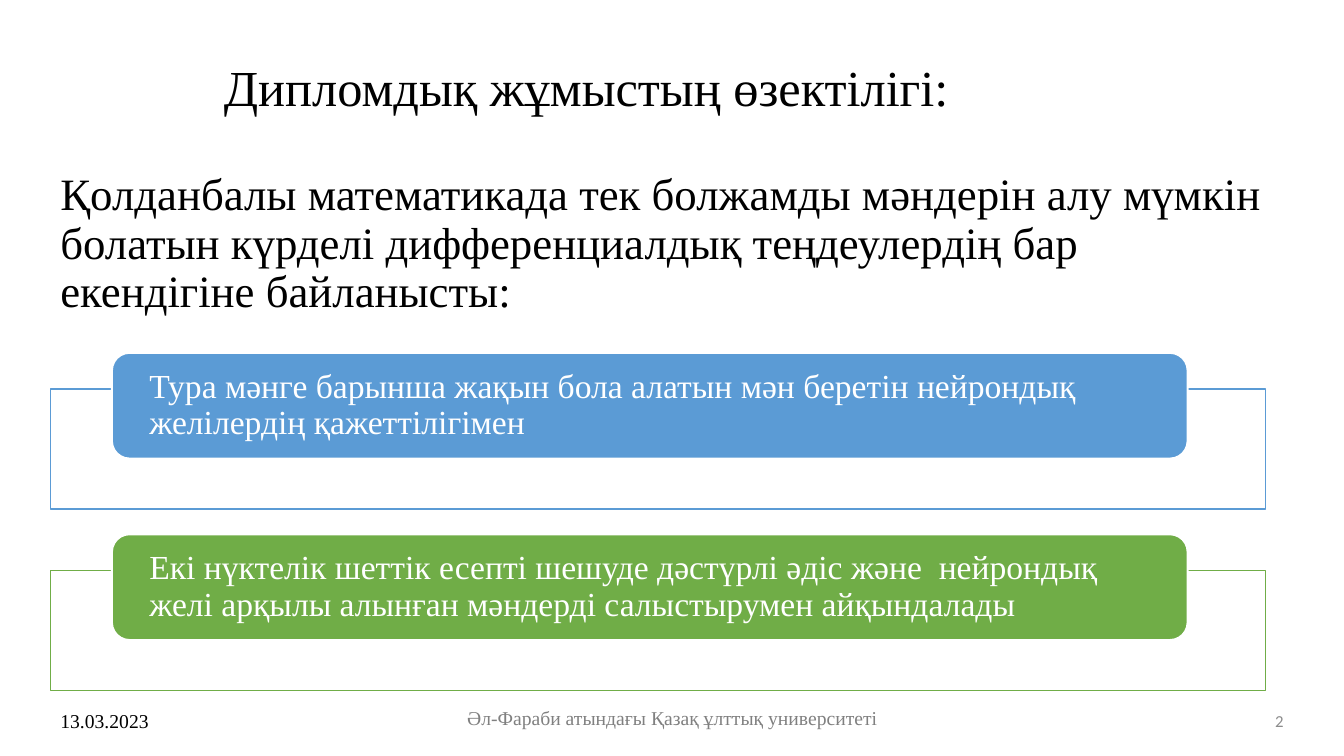
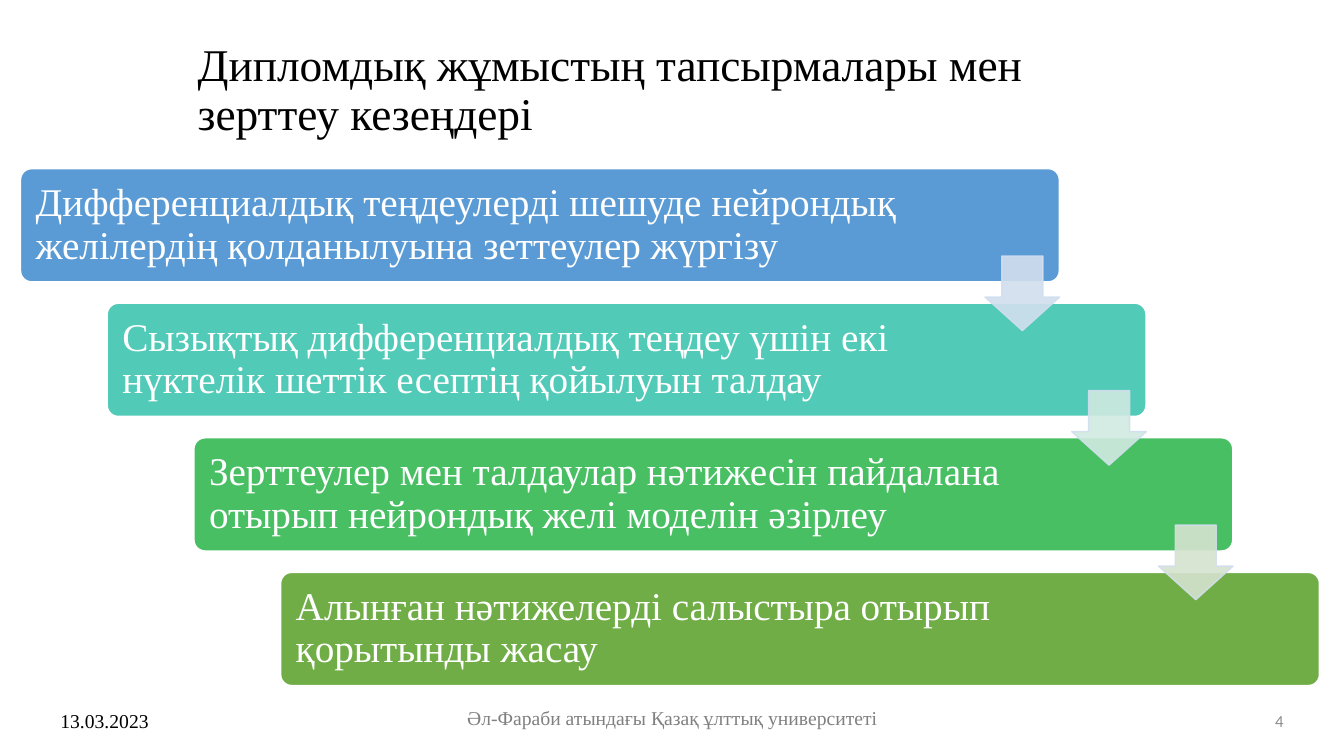
from lxml import etree
from pptx import Presentation
from pptx import util as u
from pptx.dml.color import RGBColor
from pptx.enum import shapes, text
from pptx.oxml.ns import qn

CELL = 0.5  # side of one grid column or row, in inches
BLUE, TEAL, EMERALD, GREEN = "5B9BD5", "52CAB8", "49BF64", "70AD47"
BLACK, WHITE, GREY, PALE_GREY = "000000", "FFFFFF", "808080", "8C8C8C"
PALE_BLUE, PALE_TEAL, PALE_GREEN = "D2DEEF", "D0EAE1", "D5E3CF"
SERIF, SANS = "Times New Roman", "Calibri"
LEFT, CENTER, RIGHT = text.PP_ALIGN.LEFT, text.PP_ALIGN.CENTER, text.PP_ALIGN.RIGHT
TOP, MIDDLE = text.MSO_ANCHOR.TOP, text.MSO_ANCHOR.MIDDLE
KIND = shapes.MSO_SHAPE


def paint(fill, color, alpha=100):
    """Solid colour from a hex string, with opacity in percent."""
    fill.solid()
    fill.fore_color.rgb = RGBColor.from_string(color)
    if alpha < 100:
        tone = fill._xPr.find(qn("a:solidFill"))[0]
        etree.SubElement(tone, qn("a:alpha"), val=str(alpha * 1000))


def cells(*counts):
    return [u.Inches(count * CELL) for count in counts]


class Deck:
    def __init__(self):
        self.prs = Presentation()
        self.prs.slide_width, self.prs.slide_height = u.Inches(13.33), u.Inches(7.5)
        self.slide = None

    def start(self, title, place, size, number):
        """New slide with its title and the shared footer."""
        self.slide = self.prs.slides.add_slide(self.prs.slide_layouts[5])
        heading = self.slide.shapes.title
        heading.left, heading.top, heading.width, heading.height = cells(*place)
        self.set_words(heading, title, size, spacing=0.9)
        row, height = 13.9, 0.8
        self.label("13.03.2023", (1, row, 5.96, height), 14, anchor=MIDDLE)
        self.label("Әл-Фараби атындағы Қазақ ұлттық университеті",
                   (8.84, row, 9, height), 14, color=GREY, align=CENTER, anchor=TOP)
        self.label(number, (19.7, row, 5.96, height), 12, color=PALE_GREY,
                   font=SANS, align=RIGHT)

    def set_words(self, holder, words, size, color=BLACK, font=SERIF, align=LEFT,
                  anchor=MIDDLE, spacing=1.0, before=0, insets=(0.1, 0.05, 0.1, 0.05)):
        frame = holder.text_frame
        frame.text = words
        frame.word_wrap = True
        frame.auto_size = text.MSO_AUTO_SIZE.NONE
        frame.vertical_anchor = anchor
        (frame.margin_left, frame.margin_top,
         frame.margin_right, frame.margin_bottom) = [u.Inches(i) for i in insets]
        for paragraph in frame.paragraphs:
            paragraph.alignment = align
            paragraph.line_spacing = spacing
            paragraph.space_before = u.Pt(before)
            for run in paragraph.runs:
                run.font.size, run.font.name = u.Pt(size), font
                run.font.color.rgb = RGBColor.from_string(color)

    def label(self, words, place, size, **style):
        self.set_words(self.slide.shapes.add_textbox(*cells(*place)), words, size, **style)

    def block(self, kind, place, fill, line, weight, alpha=100, line_alpha=100, adjust=()):
        shape = self.slide.shapes.add_shape(kind, *cells(*place))
        shape.shadow.inherit = False
        paint(shape.fill, fill, alpha)
        paint(shape.line.fill, line, line_alpha)
        shape.line.width = u.Pt(weight)
        for index, value in enumerate(adjust):
            shape.adjustments[index] = value
        return shape

    def reason(self, words, row, color):
        """Outlined frame with a rounded card over its top edge."""
        self.block(KIND.RECTANGLE, (1, row + 0.72, 24.1, 2.38), WHITE, color, 1, alpha=90)
        card = self.block(KIND.ROUNDED_RECTANGLE, (2.22, row, 21.34, 2.1), color, WHITE, 1.5)
        self.set_words(card, words, 24, color=WHITE, spacing=0.9, insets=(0.32, 0, 0.32, 0))

    def stage(self, words, column, row, color, right_inset):
        bar = self.block(KIND.ROUNDED_RECTANGLE, (column, row, 20.62, 2.26),
                         color, WHITE, 1.5, adjust=[0.1])
        self.set_words(bar, words, 28, color=WHITE, spacing=0.9,
                       insets=(0.12, 0.12, right_inset, 0.12))

    def step_arrow(self, column, row, color):
        self.block(KIND.DOWN_ARROW, (column, row, 1.48, 1.48), color, PALE_BLUE, 1,
                   alpha=90, line_alpha=90, adjust=[0.55, 0.45])


def relevance(deck):
    deck.start("Дипломдық жұмыстың өзектілігі:", (4.24, 0.64, 21.04, 2.28), 36, "2")
    deck.label("Қолданбалы математикада тек болжамды мәндерін алу мүмкін болатын күрделі "
               "дифференциалдық теңдеулердің бар екендігіне байланысты:",
               (1, 3.32, 24.64, 10.2), 32, anchor=TOP, spacing=0.9, before=10)
    reasons = [
        ("Тура мәнге барынша жақын бола алатын мән беретін нейрондық "
         "желілердің қажеттілігімен", BLUE),
        ("Екі нүктелік шеттік есепті шешуде дәстүрлі әдіс және  нейрондық "
         "желі арқылы алынған мәндерді салыстырумен айқындалады", GREEN),
    ]
    for index, (words, color) in enumerate(reasons):
        deck.reason(words, 7 + index * 3.6, color)


def stages(deck):
    deck.start("Дипломдық жұмыстың тапсырмалары мен зерттеу кезеңдері",
               (3.72, 0.68, 18.5, 2.28), 32.4, "4")
    steps = [
        ("Дифференциалдық теңдеулерді шешуде нейрондық желілердің қолданылуына "
         "зеттеулер жүргізу", BLUE, 1.38),
        ("Сызықтық дифференциалдық теңдеу үшін екі нүктелік шеттік есептің "
         "қойылуын талдау", TEAL, 1.73),
        ("Зерттеулер мен талдаулар нәтижесін пайдалана отырып нейрондық желі "
         "моделін әзірлеу", EMERALD, 1.73),
        ("Алынған нәтижелерді салыстыра отырып қорытынды жасау", GREEN, 1.73),
    ]
    across, down = 1.72, 2.67  # offset from one stage to the next
    for index, (words, color, right_inset) in enumerate(steps):
        deck.stage(words, 0.4 + index * across, 3.34 + index * down, color, right_inset)
    # Arrows lie above all the bars
    for index, color in enumerate([PALE_BLUE, PALE_TEAL, PALE_GREEN]):
        deck.step_arrow(19.54 + index * across, 5.08 + index * down, color)


def main():
    deck = Deck()
    relevance(deck)
    stages(deck)
    deck.prs.save("out.pptx")


if __name__ == "__main__":
    main()
